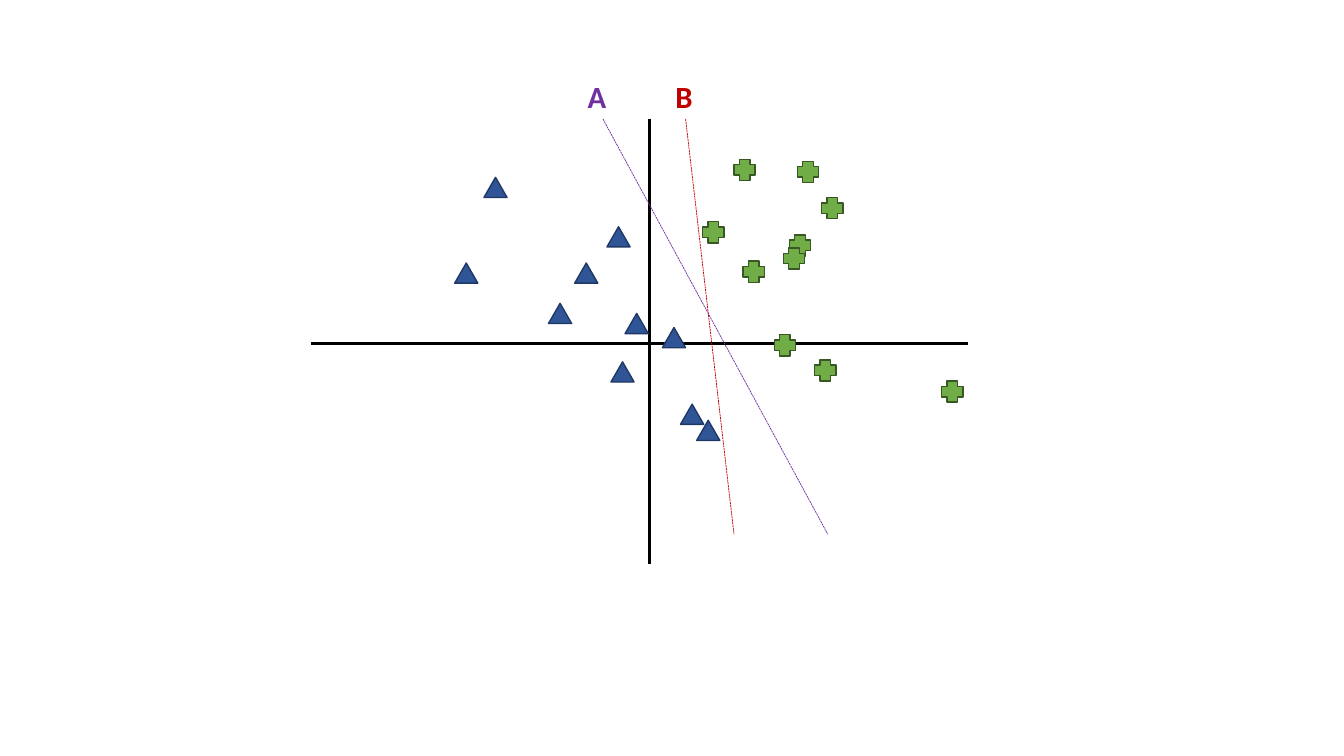
from lxml import etree
from pptx import Presentation
from pptx.dml.color import RGBColor
from pptx.enum.dml import MSO_LINE
from pptx.enum.shapes import MSO_CONNECTOR, MSO_SHAPE
from pptx.enum.text import MSO_AUTO_SIZE
from pptx.oxml.ns import qn
from pptx.util import Emu, Pt

STRAIGHT = MSO_CONNECTOR.STRAIGHT
TRIANGLE = MSO_SHAPE.ISOSCELES_TRIANGLE
CROSS = MSO_SHAPE.CROSS
DASH = MSO_LINE.SQUARE_DOT
GROW = MSO_AUTO_SIZE.SHAPE_TO_FIT_TEXT

SCALE = 9144
FONT = "Calibri"
COLORS = {
    "axis": "000000",
    "blue": "2F5597",
    "navy": "203864",
    "green": "70AD47",
    "forest": "385723",
    "red": "C00000",
    "purple": "7030A0",
}

TRIANGLES = [
    (570, 261), (602, 225), (544, 301), (620, 311), (606, 359), (675, 401),
    (480, 176), (657, 325), (691, 417), (451, 261),
]
CROSSES = [
    (728, 158), (815, 196), (783, 233), (737, 259), (934, 378), (768, 332),
    (777, 246), (697, 220), (791, 160), (808, 357),
]
BORDERS = [
    ("B", "red", 680, 728, 660),
    ("A", "purple", 598, 821, 573),
]


def px(count):
    """Turn px into EMU."""
    return Emu(count * SCALE)


def rgb(name):
    """Look up a colour."""
    return RGBColor.from_string(COLORS[name])


class Plot:
    """Draw the parts of a scatter plot on one slide."""

    def __init__(self, slide, font):
        """Keep the slide and its font."""
        self.shapes = slide.shapes
        self.font = font

    def line(self, start, end, color, width, dash=None):
        """Draw a straight line."""
        line = self.shapes.add_connector(STRAIGHT, *map(px, start + end))
        line.line.color.rgb = rgb(color)
        line.line.width = Pt(width)
        if dash:
            line.line.dash_style = dash
        etree.SubElement(line._element.spPr, qn("a:effectLst"))

    def marks(self, kind, spots, size, fill, edge):
        """Draw one class of data points."""
        for spot in spots:
            mark = self.shapes.add_shape(kind, *map(px, spot + size))
            mark.shadow.inherit = False
            mark.fill.solid()
            mark.fill.fore_color.rgb = rgb(fill)
            mark.line.color.rgb = rgb(edge)
            mark.line.width = Pt(1)

    def label(self, text, left, top, color):
        """Write a bold line name."""
        box = self.shapes.add_textbox(*map(px, (left, top, 81, 47)))
        frame = box.text_frame
        frame.word_wrap = True
        frame.auto_size = GROW
        frame.text = text
        font = frame.paragraphs[0].runs[0].font
        font.name = self.font
        font.size = Pt(22)
        font.bold = True
        font.color.rgb = rgb(color)


def main():
    """Build and save the slide."""
    deck = Presentation()
    deck.slide_width, deck.slide_height = px(1333), px(750)
    plot = Plot(deck.slides.add_slide(deck.slide_layouts[6]), FONT)

    plot.line((644, 118), (644, 560), "axis", 2.25)
    plot.line((308, 341), (960, 341), "axis", 2.25)
    plot.marks(TRIANGLE, TRIANGLES, (23, 20), "blue", "navy")
    plot.marks(CROSS, CROSSES, (21, 21), "green", "forest")
    for name, color, top, foot, left in BORDERS:
        plot.line((top, 118), (foot, 530), color, 0.5, DASH)
        plot.label(name, left, 72, color)

    deck.save("out.pptx")


if __name__ == "__main__":
    main()
